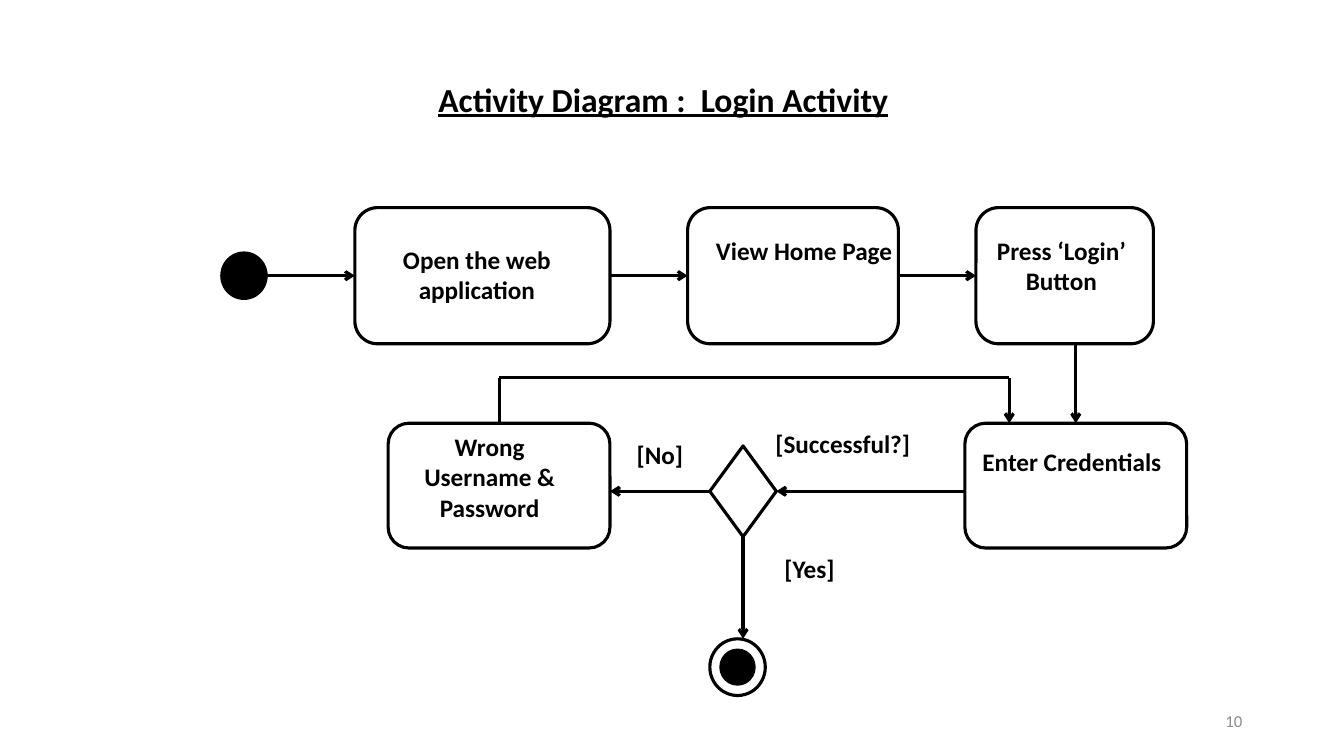
from pptx import Presentation
from pptx.dml.color import RGBColor
from pptx.enum.shapes import MSO_CONNECTOR, MSO_SHAPE
from pptx.enum.text import MSO_ANCHOR, MSO_AUTO_SIZE, PP_ALIGN
from pptx.oxml.ns import qn
from pptx.util import Inches, Pt
from lxml import etree

ROUNDED = MSO_SHAPE.ROUNDED_RECTANGLE
OVAL, DIAMOND = MSO_SHAPE.OVAL, MSO_SHAPE.DIAMOND
STRAIGHT = MSO_CONNECTOR.STRAIGHT
LEFT, CENTER, RIGHT = PP_ALIGN.LEFT, PP_ALIGN.CENTER, PP_ALIGN.RIGHT
TOP, MIDDLE = MSO_ANCHOR.TOP, MSO_ANCHOR.MIDDLE
GROW, FIXED = MSO_AUTO_SIZE.SHAPE_TO_FIT_TEXT, MSO_AUTO_SIZE.NONE

COLORS = {"ink": "000000", "number": "8C8C8C"}
FONT = "Calibri"
LINE_WIDTH = Pt(2.25)
SLIDE_WIDTH, SLIDE_HEIGHT = 13.33, 7.5

# Diagram area (left, top, width, height), divided into columns and rows
DIAGRAM = (2.2, 2.06, 9.57, 4.84)
COLUMNS, ROWS = 87, 43

# Connection sites
SITE_TOP, SITE_LEFT, SITE_BOTTOM, SITE_RIGHT = range(4)


def color(name):
    return RGBColor.from_string(COLORS[name])


def add_text(page, box, text, size=18, bold=True, underline=False, ink="ink",
             align=CENTER, anchor=TOP, fit=GROW):
    frame = page.shapes.add_textbox(*(Inches(v) for v in box)).text_frame
    frame.word_wrap = True
    frame.auto_size = fit
    frame.vertical_anchor = anchor
    para = frame.paragraphs[0]
    para.alignment = align
    span = para.add_run()
    span.text = text
    span.font.name = FONT
    span.font.size = Pt(size)
    span.font.bold = bold
    span.font.underline = underline
    span.font.color.rgb = color(ink)


def add_node(page, kind, box, filled=False):
    shape = page.shapes.add_shape(kind, *(Inches(v) for v in box))
    shape.shadow.inherit = False
    if filled:
        shape.fill.solid()
        shape.fill.fore_color.rgb = color("ink")
    else:
        shape.fill.background()
    shape.line.color.rgb = color("ink")
    shape.line.width = LINE_WIDTH
    return shape


def add_flow(page, start, end, source=None, target=None, arrow=True):
    """Draw a line; source and target are optional (shape, site) pairs."""
    flow = page.shapes.add_connector(
        STRAIGHT, *(Inches(v) for v in (*start, *end)))
    if source:
        flow.begin_connect(*source)
    if target:
        flow.end_connect(*target)
    flow.line.color.rgb = color("ink")
    flow.line.width = LINE_WIDTH
    properties = flow.line._get_or_add_ln()
    if arrow:
        etree.SubElement(properties, qn("a:tailEnd"), type="arrow")
    etree.SubElement(properties.getparent(), qn("a:effectLst"))


def draw_title(page, box):
    add_text(page, box, "Activity Diagram :  Login Activity", size=24,
             underline=True, align=LEFT)


def draw_page_number(page, box):
    add_text(page, box, "10", size=12, bold=False, ink="number",
             align=RIGHT, anchor=MIDDLE, fit=FIXED)


def draw_activity(page, area):
    left, top, width, height = area
    column, row = width / COLUMNS, height / ROWS

    def point(x, y):
        return left + x * column, top + y * row

    def cell(x, y, across, down):
        return (*point(x, y), across * column, down * row)

    # Activities, decision, start and end
    add_node(page, OVAL, cell(0, 4, 4, 4), filled=True)
    launch = add_node(page, ROUNDED, cell(12, 0, 23, 12))
    home = add_node(page, ROUNDED, cell(42, 0, 19, 12))
    press = add_node(page, ROUNDED, cell(68, 0, 16, 12))
    enter = add_node(page, ROUNDED, cell(67, 19, 20, 11))
    wrong = add_node(page, ROUNDED, cell(15, 19, 20, 11))
    decision = add_node(page, DIAMOND, cell(44, 21, 6, 8))
    add_node(page, OVAL, cell(45, 39, 3, 3), filled=True)
    add_node(page, OVAL, cell(44, 38, 5, 5))

    # Flow along the upper row
    add_flow(page, point(4, 6), point(12, 6), target=(launch, SITE_LEFT))
    for before, after, x1, x2 in ((launch, home, 35, 42),
                                  (home, press, 61, 68)):
        add_flow(page, point(x1, 6), point(x2, 6),
                 (before, SITE_RIGHT), (after, SITE_LEFT))

    # Flow through the decision
    add_flow(page, point(77, 12), point(77, 19), target=(enter, SITE_TOP))
    add_flow(page, point(67, 25), point(50, 25),
             target=(decision, SITE_RIGHT))
    add_flow(page, point(44, 25), point(35, 25),
             source=(decision, SITE_LEFT))
    add_flow(page, point(47, 29), point(47, 38),
             source=(decision, SITE_BOTTOM))

    # Loop back to the credentials
    add_flow(page, point(25, 19), point(25, 15),
             source=(wrong, SITE_TOP), arrow=False)
    add_flow(page, point(25, 15), point(71, 15), arrow=False)
    add_flow(page, point(71, 15), point(71, 19))

    # Wording: text, then column, row, columns across, rows down
    for text, *place in (
        ("Open the web application", 13.5, 2.8, 19, 6.3),
        ("View Home Page", 43, 2, 19, 8),
        ("Press ‘Login’ Button", 67.4, 2, 16.6, 11.5),
        ("Enter Credentials", 67.6, 20.6, 18.1, 8),
        ("Wrong Username & Password", 15.6, 19.3, 17.1, 11.5),
        ("[Successful?]", 48, 19, 16, 3.6),
        ("[No]", 35, 20, 9, 4.6),
        ("[Yes]", 48, 30, 10, 4.6),
    ):
        add_text(page, cell(*place), text)


def main():
    deck = Presentation()
    deck.slide_width = Inches(SLIDE_WIDTH)
    deck.slide_height = Inches(SLIDE_HEIGHT)
    page = deck.slides.add_slide(deck.slide_layouts[6])
    draw_activity(page, DIAGRAM)
    draw_title(page, (4.25, 0.73, 6.73, 0.5))
    draw_page_number(page, (9.42, 6.95, 3, 0.4))
    deck.save("out.pptx")


if __name__ == "__main__":
    main()
